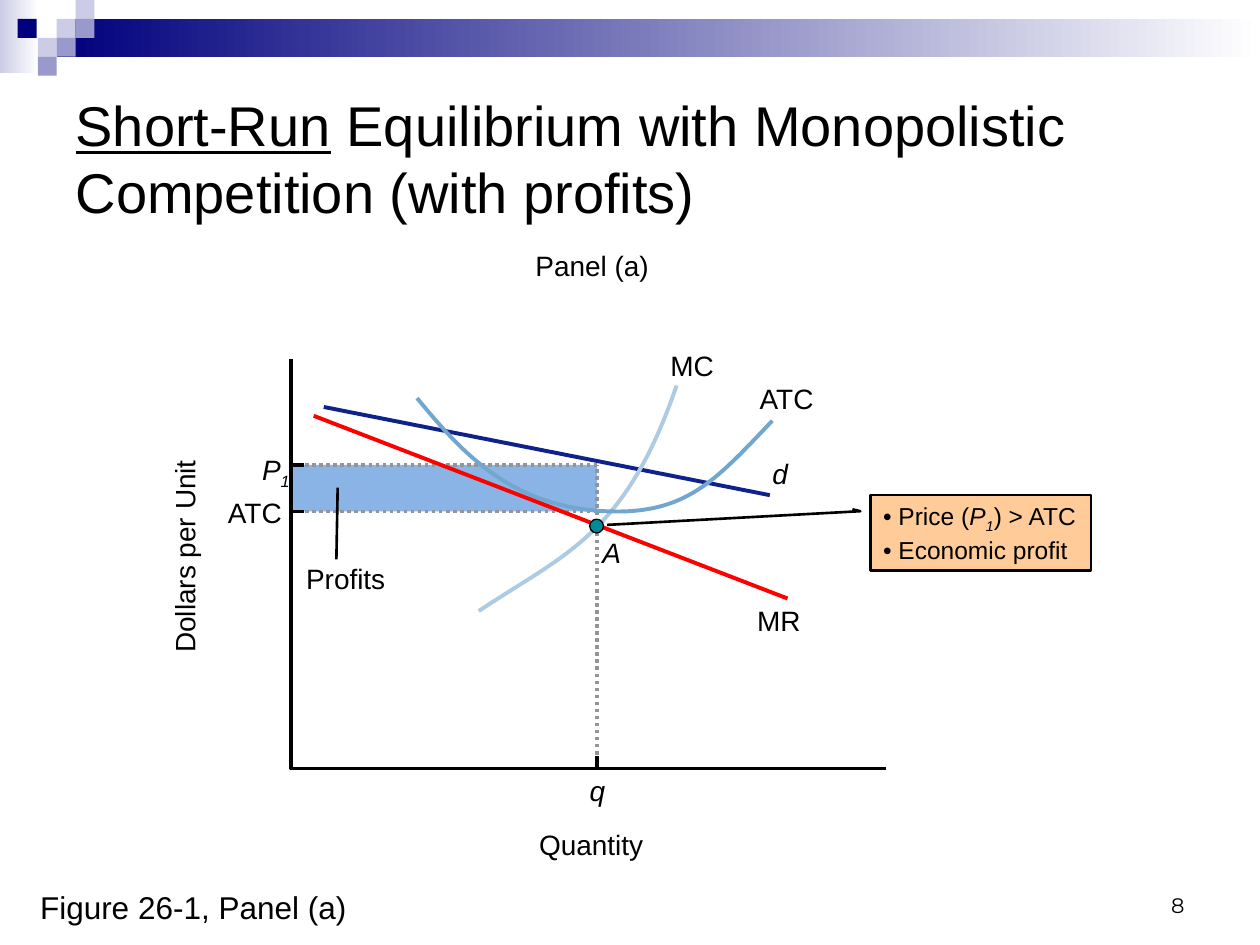
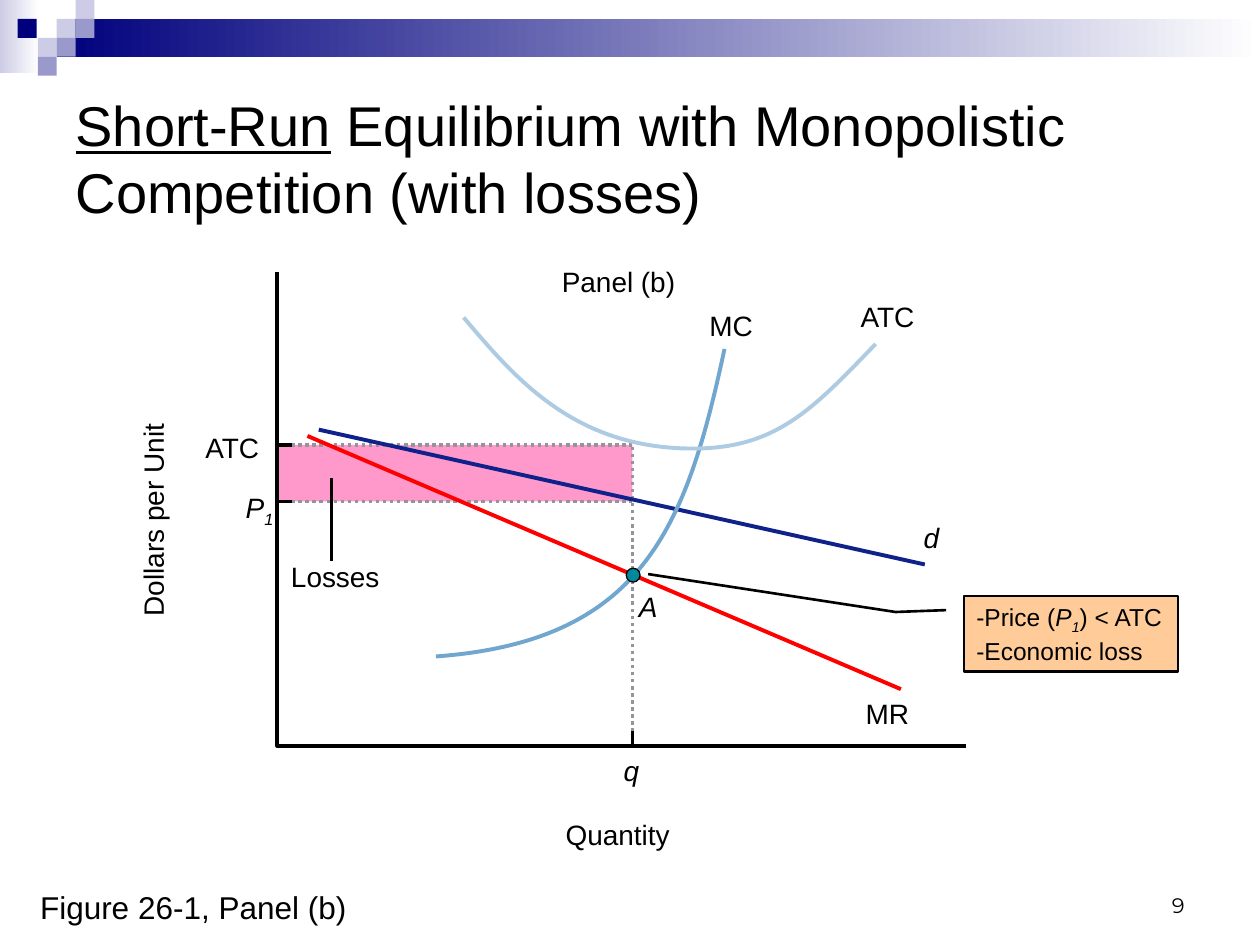
"""Build two slides on short-run equilibrium with monopolistic competition."""
from lxml.etree import SubElement
from pptx import Presentation
from pptx.dml.color import RGBColor
from pptx.enum.dml import MSO_LINE
from pptx.enum.shapes import MSO_CONNECTOR, MSO_SHAPE
from pptx.enum.text import MSO_ANCHOR, MSO_AUTO_SIZE, PP_ALIGN
from pptx.oxml.ns import qn
from pptx.util import Inches, Pt

BLACK, WHITE, GRAY = "000000", "FFFFFF", "939598"
NAVY, LAVENDER, VIOLET = "00007D", "CCCCE6", "9999CC"
DEMAND, REVENUE = "0F218B", "FF0000"
MID_BLUE, PALE_BLUE = "71A6CE", "ADCBE2"
PRICE = [("P", "i"), ("1", "is")]


def paint(shape, fill=None, line=None, width=0):
    """Set solid or two-colour gradient fill and the outline, without shadow."""
    shape.shadow.inherit = False
    if fill is None:
        shape.fill.background()
    elif isinstance(fill, tuple):
        shape.fill.gradient()
        shape.fill.gradient_angle = 0
        for stop, color in zip(shape.fill.gradient_stops, fill):
            stop.color.rgb = RGBColor.from_string(color)
    else:
        shape.fill.solid()
        shape.fill.fore_color.rgb = RGBColor.from_string(fill)
    if line:
        shape.line.color.rgb = RGBColor.from_string(line)
        shape.line.width = Pt(width)
    else:
        shape.line.fill.background()


def write(shape, paragraphs, size, font="Arial", inset=True, fit=True, align=PP_ALIGN.LEFT):
    """Fill a shape with paragraphs of (text, style) runs; styles are i, s (subscript) and u."""
    frame = shape.text_frame
    frame.word_wrap = not fit
    frame.auto_size = MSO_AUTO_SIZE.SHAPE_TO_FIT_TEXT if fit else MSO_AUTO_SIZE.NONE
    frame.margin_left = frame.margin_right = Inches(0.1 if inset else 0)
    frame.margin_top = frame.margin_bottom = Inches(0.05 if inset else 0)
    for index, runs in enumerate(paragraphs):
        paragraph = frame.add_paragraph() if index else frame.paragraphs[0]
        paragraph.alignment = align
        for text, style in runs:
            run = paragraph.add_run()
            run.text = text
            run.font.size = Pt(size)
            run.font.name = font
            run.font.color.rgb = RGBColor.from_string(BLACK)
            run.font.italic = "i" in style
            run.font.underline = "u" in style
            if "s" in style:
                run.font._element.set("baseline", "-25000")


panels = [
    {
        "number": "8", "letter": "a", "outcome": "profits", "area": "8AB4E5",
        "origin": (2.31, 6.1), "axis_ends": (7.03, 2.85),
        "q": 4.74, "levels": (3.69, 4.06), "tick": 0.1,
        "demand": [(2.57, 3.23), (6.11, 3.93)],
        "revenue": [(2.49, 3.3), (6.25, 4.75)],
        "pointer": [(2.67, 4.44), (2.68, 3.87)],
        "mc": [(3.8, 4.85), (4.47, 4.4), (4.96, 4.26), (5.37, 3.06)],
        "atc": [(3.31, 3.16), (3.65, 3.57), (4.06, 4.06), (4.9, 4.06),
                (5.47, 4.06), (5.7, 3.79), (6.13, 3.34)],
        "mc_color": PALE_BLUE, "atc_color": MID_BLUE, "dot": (4.68, 4.12),
        "callout": (6.91, 3.93, 1.75, 0.6),
        "callout_line": (0.188, -0.083, 0.213, -0.047, 0.394, -1.195),
        "notes": ("• ", ">", "profit"),
        "panel_at": (4.25, 1.97), "quantity_at": (4.28, 6.57), "q_at": (4.68, 6.14),
        "price_at": (2.08, 3.59), "cost_at": (1.81, 3.93), "d_at": (6.13, 3.62),
        "mc_at": (5.32, 2.77), "mr_at": (6.01, 4.79), "atc_at": (6.03, 3.03),
        "a_at": (4.78, 4.25), "area_at": (2.43, 4.46), "area_width": 0.64,
        "dollars_at": (0.7, 4.28),
    },
    {
        "number": "9", "letter": "b", "outcome": "losses", "area": "FF99CC",
        "origin": (2.2, 5.92), "axis_ends": (7.67, 2.16),
        "q": 5.02, "levels": (3.53, 3.98), "tick": 0.12,
        "demand": [(2.53, 3.41), (7.34, 4.48)],
        "revenue": [(2.44, 3.46), (7.15, 5.47)],
        "pointer": [(2.63, 4.45), (2.63, 3.79)],
        "mc": [(3.46, 5.21), (5.11, 5.09), (5.45, 4.17), (5.75, 2.77)],
        "atc": [(3.68, 2.52), (4.08, 2.99), (4.55, 3.56), (5.5, 3.56),
                (6.16, 3.56), (6.45, 3.25), (6.95, 2.73)],
        "mc_color": MID_BLUE, "atc_color": PALE_BLUE, "dot": (4.97, 4.51),
        "callout": (7.65, 4.73, 1.7, 0.6),
        "callout_line": (0.188, -0.083, 0.213, -0.319, -0.289, -1.474),
        "notes": ("-", "<", "loss"),
        "panel_at": (4.46, 2.1), "quantity_at": (4.49, 6.49), "q_at": (4.95, 5.98),
        "price_at": (1.95, 3.89), "cost_at": (1.63, 3.42), "d_at": (7.33, 4.13),
        "mc_at": (5.63, 2.45), "mr_at": (6.87, 5.53), "atc_at": (6.83, 2.38),
        "a_at": (5.07, 4.68), "area_at": (2.31, 4.44), "area_width": 0.74,
        "dollars_at": (0.45, 3.99),
    },
]

band = [
    (0, 0, 0.31, 0.58, (LAVENDER, WHITE)),
    (0.45, 0.15, 9.55, 0.3, (NAVY, WHITE)),
]
squares = [
    (0.45, 0.15, LAVENDER), (0.6, 0, LAVENDER), (0.6, 0.15, VIOLET), (0.3, 0.3, LAVENDER),
    (0.14, 0.15, NAVY), (0.45, 0.3, VIOLET), (0.3, 0.45, VIOLET),
]
band += [(left, top, 0.15, 0.15, color) for left, top, color in squares]

presentation = Presentation()
presentation.slide_width = Inches(10)
presentation.slide_height = Inches(7.5)
layout = presentation.slide_layouts[5]
slides = [presentation.slides.add_slide(layout) for panel in panels]

for index, (left, top, width, height, fill) in enumerate(band):
    shape = slides[0].shapes.add_shape(
        MSO_SHAPE.RECTANGLE, Inches(left), Inches(top), Inches(width), Inches(height))
    paint(shape, fill)
    shape.element.xpath(".//p:cNvPr")[0].set("id", str(20 + index))
    layout.shapes.element.append(shape.element)

for slide, panel in zip(slides, panels):
    shapes = slide.shapes
    title = shapes.title
    title.left, title.top, title.width, title.height = (
        Inches(value) for value in (0.5, 0.5, 9, 1.5))
    ending = f" Equilibrium with Monopolistic Competition (with {panel['outcome']})"
    write(title, [[("Short-Run", "u"), (ending, "")]], 32, fit=False)
    title.text_frame.vertical_anchor = MSO_ANCHOR.MIDDLE

    number = shapes.add_textbox(Inches(7.17), Inches(6.83), Inches(2.33), Inches(0.5))
    write(number, [[(panel["number"], "")]], 12, "Montserrat", fit=False, align=PP_ALIGN.RIGHT)
    number.text_frame.vertical_anchor = MSO_ANCHOR.BOTTOM

    panel_name = f"Panel ({panel['letter']})"
    figure = shapes.add_textbox(Inches(0.22), Inches(7), Inches(2.63), Inches(0.4))
    write(figure, [[(f"Figure 26-1, {panel_name}", "")]], 18)

    callout = shapes.add_shape(
        MSO_SHAPE.LINE_CALLOUT_2, *(Inches(value) for value in panel["callout"]))
    for index, value in enumerate(panel["callout_line"]):
        callout.adjustments[index] = value
    paint(callout, "FFCC99", BLACK, 1.5)
    mark, sign, result = panel["notes"]
    write(callout, [[(f"{mark}Price (", ""), *PRICE, (f") {sign} ATC", "")],
                    [(f"{mark}Economic {result}", "")]], 14)
    callout.text_frame.vertical_anchor = MSO_ANCHOR.TOP

    left, bottom = panel["origin"]
    right, top = panel["axis_ends"]
    q, tick = panel["q"], panel["tick"]
    upper, lower = panel["levels"]
    area = shapes.add_shape(MSO_SHAPE.RECTANGLE, Inches(left), Inches(upper),
                            Inches(q - left), Inches(lower - upper))
    paint(area, panel["area"])

    strokes = [([(q, bottom), (q, upper)], GRAY, 2)]
    strokes += [([(left, level), (q, level)], GRAY, 2) for level in (upper, lower)]
    strokes += [([(left, level), (left + tick, level)], BLACK, 2) for level in (upper, lower)]
    strokes += [
        ([(q, bottom), (q, bottom - tick)], BLACK, 2),
        (panel["mc"], WHITE, 3),
        (panel["demand"], DEMAND, 2.25),
        (panel["mc"], panel["mc_color"], 2.25),
        ([(right, bottom), (left, bottom), (left, top)], BLACK, 2),
        (panel["revenue"], REVENUE, 2.25),
        (panel["pointer"], BLACK, 1.5),
        (panel["atc"], panel["atc_color"], 2.25),
    ]
    for points, color, width in strokes:
        points = [(Inches(x), Inches(y)) for x, y in points]
        if len(points) == 2:
            line = shapes.add_connector(MSO_CONNECTOR.STRAIGHT, *points[0], *points[1])
            line.line.color.rgb = RGBColor.from_string(color)
            line.line.width = Pt(width)
            if color == GRAY:
                line.line.dash_style = MSO_LINE.ROUND_DOT
            SubElement(line.element.spPr, qn("a:effectLst"))
            continue
        builder = shapes.build_freeform(*points[0])
        builder.add_line_segments(points[1:], close=False)
        curve = builder.convert_to_shape()
        paint(curve, None, color, width)
        if len(points) > 3:
            outline = curve.element.xpath(".//a:path")[0]
            segments = outline.findall(qn("a:lnTo"))
            for start in range(0, len(segments), 3):
                bezier = SubElement(outline, qn("a:cubicBezTo"))
                for segment in segments[start:start + 3]:
                    bezier.append(segment[0])
                    outline.remove(segment)

    dot_left, dot_top = panel["dot"]
    dot = shapes.add_shape(MSO_SHAPE.OVAL, Inches(dot_left), Inches(dot_top),
                           Inches(0.11), Inches(0.11))
    paint(dot, "00889B", BLACK, 0)

    labels = [
        ("panel_at", 0.9, [(panel_name, "")]),
        ("quantity_at", 0.83, [("Quantity", "")]),
        ("q_at", 0.12, [("q", "i")]),
        ("price_at", 0.22, PRICE),
        ("cost_at", 0.44, [("ATC", "")]),
        ("d_at", 0.12, [("d", "i")]),
        ("mc_at", 0.35, [("MC", "")]),
        ("mr_at", 0.35, [("MR", "")]),
        ("area_at", panel["area_width"], [(panel["outcome"].capitalize(), "")]),
        ("atc_at", 0.44, [("ATC", "")]),
        ("a_at", 0.15, [("A", "i")]),
        ("dollars_at", 1.53, [("Dollars per Unit", "")]),
    ]
    for place, width, runs in labels:
        label_left, label_top = panel[place]
        label = shapes.add_textbox(Inches(label_left), Inches(label_top),
                                   Inches(width), Inches(0.3 if runs is PRICE else 0.27))
        write(label, [runs], 16, inset=False)
        if place == "dollars_at":
            label.rotation = 270

presentation.save("out.pptx")
